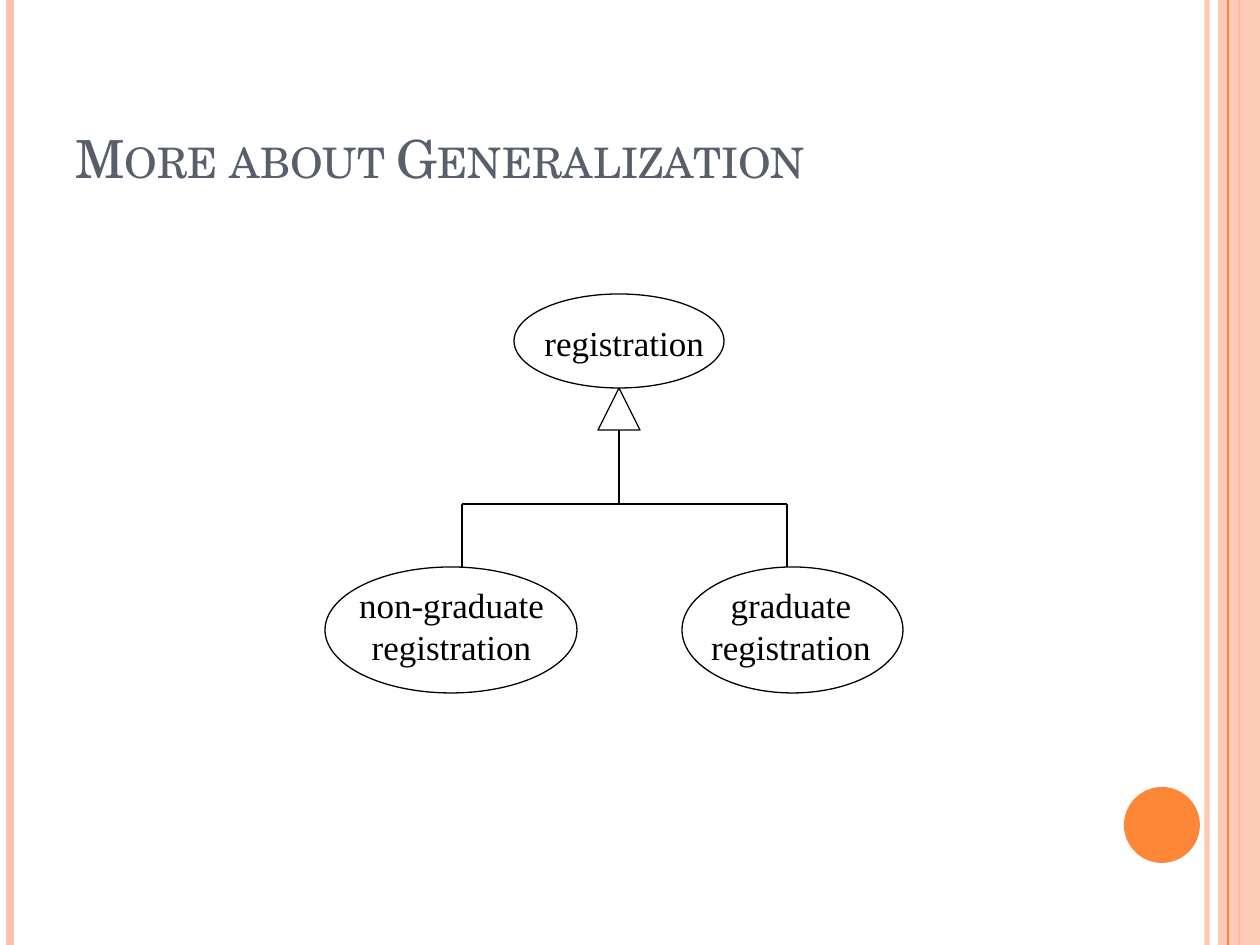
from lxml import etree
from pptx import Presentation
from pptx.dml.color import RGBColor
from pptx.enum.shapes import MSO_CONNECTOR, MSO_SHAPE
from pptx.enum.text import MSO_ANCHOR, PP_ALIGN
from pptx.oxml.ns import qn
from pptx.util import Pt

PX = 914400 / 126
WIDE, HIGH = 1260, 945
OVAL, RECT, TRI = MSO_SHAPE.OVAL, MSO_SHAPE.RECTANGLE, MSO_SHAPE.ISOSCELES_TRIANGLE
STRAIGHT = MSO_CONNECTOR.STRAIGHT
LEFT, CENTER = PP_ALIGN.LEFT, PP_ALIGN.CENTER
TOP, BOTTOM = MSO_ANCHOR.TOP, MSO_ANCHOR.BOTTOM
HEX = {"ink": "000000", "title": "575F6D", "peach": "FEC3AE", "orange": "FE8637"}

TITLE = "More about Generalization"
# x, colour, points, opacity in percent
STRIPES = [(1207, "peach", 3, 93), (10, "peach", 4.5, 100), (1239, "orange", 1.5, 100)]
EDGE = (1228, "orange", 0.75, 100)
BAND = (1218, 0, 42, HIGH)
DOT = (1124, 787, 76, 76)

# oval box, label box, label lines, alignment
CASES = [
    ((514, 294, 210, 94), (532, 315, 193, 54), ["registration"], LEFT),
    ((682, 567, 221, 126), (690, 577, 202, 97), ["graduate", "registration"], CENTER),
    ((325, 567, 252, 126), (336, 577, 231, 97), ["non-graduate", "registration"], CENTER),
]
HEAD = (598, 388, 42, 42)
STEM, BAR, KIDS = 619, 504, (462, 787)

prs = Presentation()
prs.slide_width, prs.slide_height = round(WIDE * PX), round(HIGH * PX)
slide = prs.slides.add_slide(prs.slide_layouts[6])
shapes = slide.shapes


def emu(box):
    return [round(v * PX) for v in box]


def rgb(name):
    return RGBColor.from_string(HEX[name])


def fade(fill, pct):
    """Make a solid fill partly transparent."""
    if pct < 100:
        color = fill._xPr.find(qn("a:solidFill"))[0]
        etree.SubElement(color, qn("a:alpha"), val=str(pct * 1000))


def add_line(x1, y1, x2, y2, color="ink", width=0.75, pct=100):
    line = shapes.add_connector(STRAIGHT, *emu((x1, y1, x2, y2)))
    line.line.color.rgb = rgb(color)
    line.line.width = Pt(width)
    fade(line.line.fill, pct)
    etree.SubElement(line._element.spPr, qn("a:effectLst"))


def add_stripe(x, color, width, pct):
    add_line(x, 0, x, HIGH, color, width, pct)


def add_solid(kind, box, color, pct=100):
    shape = shapes.add_shape(kind, *emu(box))
    shape.shadow.inherit = False
    shape.fill.solid()
    shape.fill.fore_color.rgb = rgb(color)
    fade(shape.fill, pct)
    shape.line.fill.background()


def add_outline(kind, box):
    shape = shapes.add_shape(kind, *emu(box))
    shape.shadow.inherit = False
    shape.fill.background()
    shape.line.color.rgb = rgb("ink")
    shape.line.width = Pt(0.75)


def add_text(box, lines, font, size, color, align=LEFT, anchor=TOP):
    frame = shapes.add_textbox(*emu(box)).text_frame
    frame.word_wrap = True
    frame.vertical_anchor = anchor
    frame.text = "\n".join(lines)
    for para in frame.paragraphs:
        para.alignment = align
        para.font.name, para.font.size = font, Pt(size)
        para.font.color.rgb = rgb(color)
    return frame


for stripe in STRIPES:
    add_stripe(*stripe)
add_solid(RECT, BAND, "peach", 87)
add_stripe(*EDGE)
add_solid(OVAL, DOT, "orange")

for oval, label, lines, align in CASES:
    add_outline(OVAL, oval)
    add_text(label, lines, "Times New Roman", 20, "ink", align)

add_outline(TRI, HEAD)
for x in KIDS:
    add_line(x, BAR, x, 567)
add_line(KIDS[0], BAR, KIDS[1], BAR)
add_line(STEM, HEAD[1] + HEAD[3], STEM, BAR)

title = add_text((63, 38, 1029, 157), [TITLE], "TeX Gyre Schola", 30, "title", anchor=BOTTOM)
for run in title.paragraphs[0].runs:
    run._r.get_or_add_rPr().set("cap", "small")

prs.save("out.pptx")
